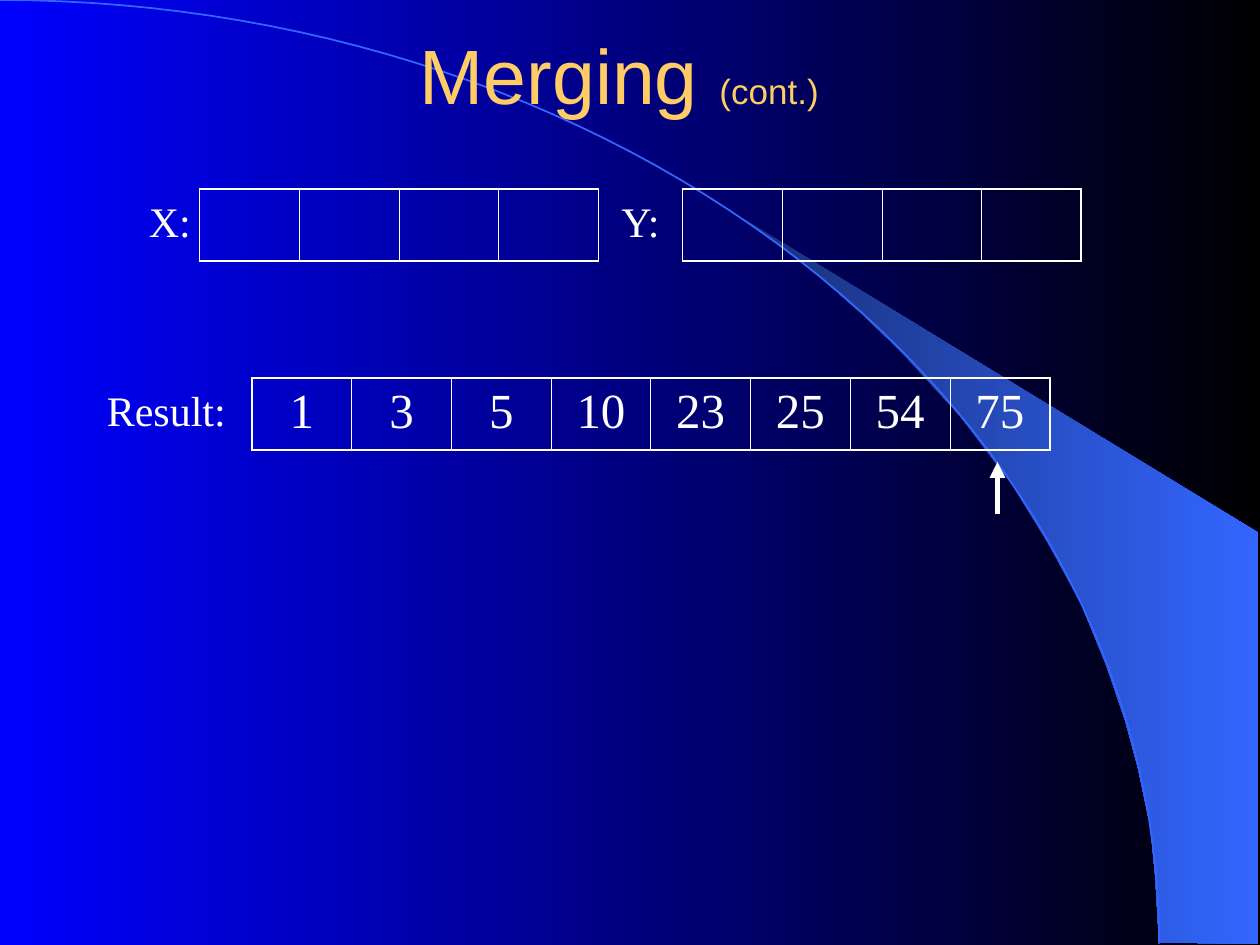
from math import cos, pi, sin

from lxml.etree import SubElement
from pptx import Presentation
from pptx.dml.color import RGBColor
from pptx.enum.shapes import MSO_CONNECTOR
from pptx.enum.text import MSO_ANCHOR, MSO_AUTO_SIZE, PP_ALIGN
from pptx.oxml.ns import qn
from pptx.util import Pt

WHITE = RGBColor(0xFF, 0xFF, 0xFF)
GOLD = RGBColor(0xFF, 0xCC, 0x66)
BLUE = RGBColor(0x00, 0x00, 0xFF)
BLACK = RGBColor(0x00, 0x00, 0x00)
NAVY = RGBColor(0x18, 0x2F, 0x76)
SKY = RGBColor(0x33, 0x66, 0xFF)

SANS, SERIF = "Arial", "Times New Roman"
CELL_WIDTH, CELL_HEIGHT = 57, 41
OUTER_BORDER, INNER_BORDER = 1.08, 0.45
ARC_WIDTH, ARC_HEIGHT, ARC_STEPS = 662.4, 539.3, 60

BEAM = [
    (662.4, 538.6), (719.3, 539.3), (719.3, 304.6), (424.1, 124.6),
    (449.3, 143.3), (470.2, 159.8), (493.2, 180), (515.5, 201.6),
    (548.6, 237.6), (578.2, 276.5), (599, 310.3), (617.8, 344.9),
    (632.2, 380.2), (643, 411.8), (650.2, 438.5), (657.4, 472.3),
    (660.2, 501.1),
]


def set_gradient(fill, start, end):
    fill.gradient()
    fill.gradient_angle = 0
    for stop, color, position in zip(fill.gradient_stops, (start, end), (0, 1)):
        stop.color.rgb = color
        stop.position = position


def add_outline(slide, points, close):
    (first, *rest) = [(Pt(x), Pt(y)) for x, y in points]
    builder = slide.shapes.build_freeform(*first)
    builder.add_line_segments(rest, close=close)
    outline = builder.convert_to_shape()
    outline.shadow.inherit = False
    return outline


def add_beam(slide):
    beam = add_outline(slide, BEAM, close=True)
    set_gradient(beam.fill, NAVY, SKY)
    beam.line.fill.background()


def add_arc(slide):
    """Draw a quarter ellipse from the top left corner to the bottom edge."""
    angles = [pi / 2 * step / ARC_STEPS for step in range(ARC_STEPS + 1)]
    points = [(ARC_WIDTH * sin(a), ARC_HEIGHT * (1 - cos(a))) for a in angles]
    arc = add_outline(slide, points, close=False)
    arc.fill.background()
    arc.line.color.rgb = SKY
    arc.line.width = Pt(1)


def add_run(paragraph, text, size, font, color):
    run = paragraph.add_run()
    run.text = text
    run.font.size = Pt(size)
    run.font.name = font
    run.font.color.rgb = color


def add_title(slide):
    box = slide.shapes.add_textbox(Pt(54), Pt(12), Pt(612), Pt(60))
    frame = box.text_frame
    frame.word_wrap = True
    frame.vertical_anchor = MSO_ANCHOR.MIDDLE
    heading = frame.paragraphs[0]
    heading.alignment = PP_ALIGN.CENTER
    for text, size in (("Merging ", 44), ("(cont.)", 20), (" ", 44)):
        add_run(heading, text, size, SANS, GOLD)


def add_label(slide, text, left, top, width):
    box = slide.shapes.add_textbox(Pt(left), Pt(top), Pt(width), Pt(36))
    frame = box.text_frame
    frame.word_wrap = True
    frame.auto_size = MSO_AUTO_SIZE.SHAPE_TO_FIT_TEXT
    label = frame.paragraphs[0]
    label.space_before = Pt(15)
    add_run(label, text, 24, SERIF, WHITE)


def set_borders(cell, widths):
    """Set white borders; widths run left, right, top, bottom."""
    properties = cell._tc.get_or_add_tcPr()
    for side, width in zip("LRTB", widths):
        border = SubElement(properties, qn(f"a:ln{side}"), w=str(Pt(width)))
        fill = SubElement(border, qn("a:solidFill"))
        SubElement(fill, qn("a:srgbClr"), val=str(WHITE))


def add_array(slide, values, left, top):
    """Draw a one-row table with a cell for each value."""
    count = len(values)
    table = slide.shapes.add_table(
        1, count, Pt(left), Pt(top), Pt(CELL_WIDTH * count), Pt(CELL_HEIGHT)
    ).table
    table.first_row = False
    table.horz_banding = False
    for index, value in enumerate(values):
        cell = table.cell(0, index)
        left_border = OUTER_BORDER if index == 0 else INNER_BORDER
        right_border = OUTER_BORDER if index == count - 1 else INNER_BORDER
        set_borders(cell, (left_border, right_border, OUTER_BORDER, OUTER_BORDER))
        cell.fill.background()
        if value:
            number = cell.text_frame.paragraphs[0]
            number.alignment = PP_ALIGN.CENTER
            number.space_before = Pt(7)
            add_run(number, value, 28, SERIF, WHITE)


def add_pointer(slide, x, start, end):
    pointer = slide.shapes.add_connector(
        MSO_CONNECTOR.STRAIGHT, Pt(x), Pt(start), Pt(x), Pt(end)
    )
    pointer.line.color.rgb = WHITE
    pointer.line.width = Pt(3)
    SubElement(pointer.line._get_or_add_ln(), qn("a:tailEnd"), type="triangle")
    SubElement(pointer._element.spPr, qn("a:effectLst"))


def main():
    deck = Presentation()
    deck.slide_width, deck.slide_height = Pt(720), Pt(540)
    slide = deck.slides.add_slide(deck.slide_layouts[6])
    set_gradient(slide.background.fill, BLUE, BLACK)
    add_beam(slide)
    add_arc(slide)
    add_title(slide)
    add_array(slide, [""] * 4, 114, 108)
    add_array(slide, [""] * 4, 390, 108)
    add_array(slide, ["1", "3", "5", "10", "23", "25", "54", "75"], 144, 216)
    add_pointer(slide, 570, 294, 264)
    add_label(slide, "X:", 78, 108, 42)
    add_label(slide, "Y:", 348, 108, 42)
    add_label(slide, "Result:", 54, 216, 84)
    deck.save("out.pptx")


if __name__ == "__main__":
    main()
